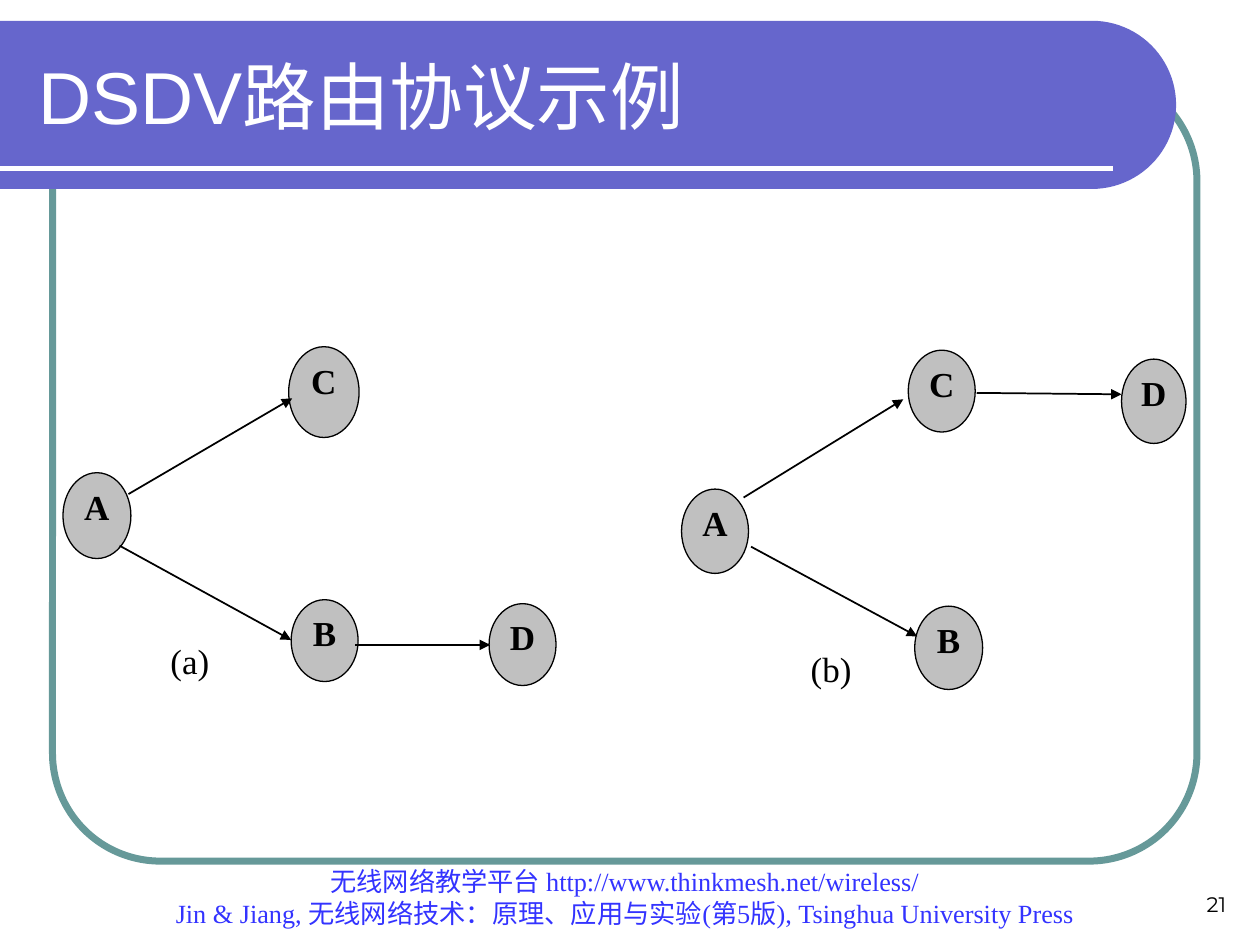
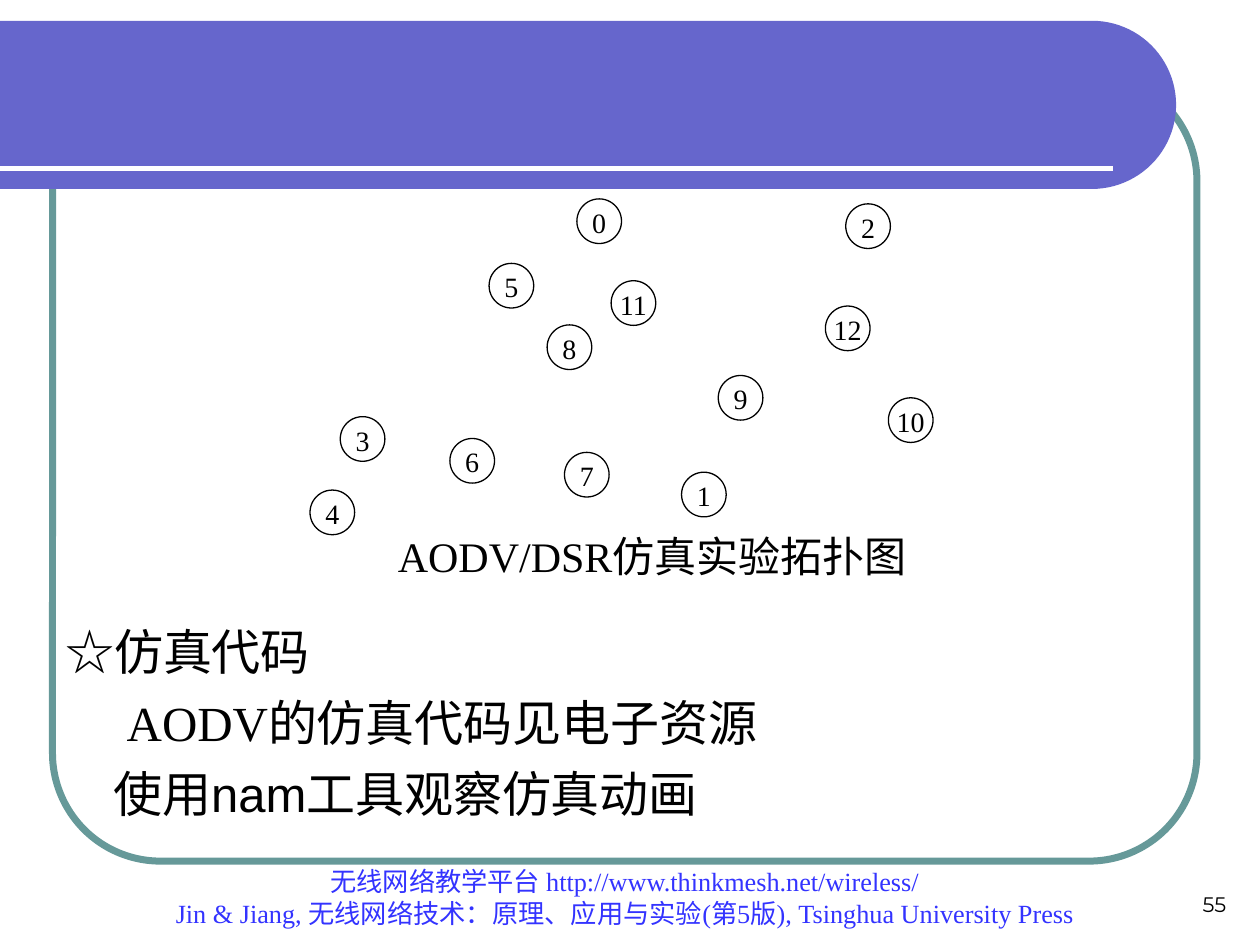
from dataclasses import dataclass
from math import cos, pi, sin

from lxml.etree import SubElement
from pptx import Presentation
from pptx.dml.color import RGBColor
from pptx.enum.shapes import MSO_CONNECTOR, MSO_SHAPE
from pptx.enum.text import MSO_ANCHOR, MSO_AUTO_SIZE, PP_ALIGN
from pptx.oxml.ns import qn
from pptx.util import Cm, Pt


@dataclass(frozen=True)
class Theme:
    band: str = "6666CC"
    frame: str = "669999"
    footer: str = "3333FF"
    node: str = "C0C0C0"
    dark: str = "000000"
    light: str = "FFFFFF"
    sans: str = "Arial"
    serif: str = "Times New Roman"
    number: str = "Montserrat"
    title_size: int = 42
    body_size: int = 28
    caption_size: int = 24
    node_size: int = 20
    circle_size: int = 16
    footer_size: int = 15
    number_size: int = 12


THEME = Theme()
FOOTER = (
    "无线网络教学平台 http://www.thinkmesh.net/wireless/\n"
    "Jin & Jiang, 无线网络技术：原理、应用与实验(第5版), Tsinghua University Press"
)
ROUTES_BEFORE = {
    "label": ("(a)", 1.47, 5.91, 2.18, 1.14),
    "nodes": [
        ("A", 0, 2.54, 1.37, 1.73),
        ("C", 4.55, 0, 1.42, 1.83),
        ("B", 4.6, 5.1, 1.35, 1.65),
        ("D", 8.59, 5.18, 1.35, 1.65),
    ],
    "links": [
        (1.32, 2.97, 4.62, 1.04),
        (5.89, 6.01, 8.61, 6.01),
        (1.14, 4.01, 4.6, 5.91),
    ],
}
ROUTES_AFTER = {
    "label": ("(b)", 2.01, 6, 2.01, 1.24),
    "nodes": [
        ("A", 0, 2.8, 1.35, 1.7),
        ("C", 4.57, 0, 1.35, 1.65),
        ("B", 4.7, 5.16, 1.37, 1.68),
        ("D", 8.87, 0.18, 1.3, 1.7),
    ],
    "links": [
        (1.25, 2.97, 4.47, 0.99),
        (5.95, 0.86, 8.87, 0.89),
        (1.4, 3.96, 4.75, 5.77),
    ],
}
TOPOLOGY = {
    0: (5.38, 0),
    1: (7.49, 5.51),
    2: (10.8, 0.1),
    3: (0.61, 4.39),
    4: (0, 5.87),
    5: (3.61, 1.3),
    6: (2.82, 4.83),
    7: (5.13, 5.11),
    8: (4.78, 2.54),
    9: (8.23, 3.56),
    10: (11.66, 4.01),
    11: (6.07, 1.65),
    12: (10.39, 2.16),
}
BODY_LINES = [
    ("☆仿真代码", THEME.sans, 0),
    ("AODV的仿真代码见电子资源", THEME.serif, 1.24),
    ("使用nam工具观察仿真动画", THEME.sans, 0.97),
]


def color(value):
    return RGBColor.from_string(value)


def format_paragraph(paragraph, text, size, font, fill=THEME.dark, bold=False,
                     align=PP_ALIGN.LEFT):
    paragraph.text = text
    paragraph.alignment = align
    paragraph.font.size = Pt(size)
    paragraph.font.name = font
    paragraph.font.bold = bold
    paragraph.font.color.rgb = color(fill)


def write(shape, text, anchor=MSO_ANCHOR.TOP, inset=(0.25, 0.13), **text_format):
    frame = shape.text_frame
    frame.word_wrap = True
    frame.auto_size = MSO_AUTO_SIZE.NONE
    frame.vertical_anchor = anchor
    frame.margin_left = frame.margin_right = Cm(inset[0])
    frame.margin_top = frame.margin_bottom = Cm(inset[1])
    for index, line in enumerate(text.split("\n")):
        paragraph = frame.add_paragraph() if index else frame.paragraphs[0]
        format_paragraph(paragraph, line, **text_format)


def place(shape, left, top, width, height):
    shape.left, shape.top = Cm(left), Cm(top)
    shape.width, shape.height = Cm(width), Cm(height)


def add_text(slide, box, text, **text_format):
    shape = slide.shapes.add_textbox(*map(Cm, box))
    write(shape, text, **text_format)
    return shape


def add_line(slide, ends, fill, width, arrow=False):
    line = slide.shapes.add_connector(MSO_CONNECTOR.STRAIGHT, *map(Cm, ends))
    line.line.color.rgb = color(fill)
    line.line.width = Pt(width)
    if arrow:
        SubElement(line.line._get_or_add_ln(), qn("a:tailEnd"), type="triangle")
    SubElement(line.element.spPr, qn("a:effectLst"))
    return line


def add_node(slide, box, text, fill, **text_format):
    node = slide.shapes.add_shape(MSO_SHAPE.OVAL, *map(Cm, box))
    node.shadow.inherit = False
    node.fill.solid()
    node.fill.fore_color.rgb = color(fill)
    node.line.color.rgb = color(THEME.dark)
    node.line.width = Pt(0.75)
    write(node, text, inset=(0, 0), font=THEME.serif, align=PP_ALIGN.CENTER,
          **text_format)


def add_frame(slide, box):
    frame = slide.shapes.add_shape(MSO_SHAPE.ROUNDED_RECTANGLE, *map(Cm, box))
    frame.adjustments[0] = 0.137
    frame.shadow.inherit = False
    frame.fill.background()
    frame.line.color.rgb = color(THEME.frame)
    frame.line.width = Pt(4)
    return frame


def add_band(slide, left, top, width, height, steps=48):
    radius = height / 2
    center_x, center_y = left + width - radius, top + radius
    angles = [pi * step / steps - pi / 2 for step in range(steps + 1)]
    arc = [(Cm(center_x + radius * cos(angle)), Cm(center_y + radius * sin(angle)))
           for angle in angles]
    builder = slide.shapes.build_freeform(Cm(left), Cm(top))
    builder.add_line_segments(arc + [(Cm(left), Cm(top + height))])
    band = builder.convert_to_shape()
    band.shadow.inherit = False
    band.fill.solid()
    band.fill.fore_color.rgb = color(THEME.band)
    band.line.fill.background()
    return band


def build_master(presentation, slide):
    parts = [
        add_frame(slide, (1.06, 1.48, 23.07, 15.88)),
        add_band(slide, 0, 0.42, 23.71, 3.39),
        add_line(slide, (0, 3.39, 22.44, 3.39), THEME.light, 3),
        add_text(slide, (1.9, 17.78, 21.39, 1.07), FOOTER, anchor=MSO_ANCHOR.BOTTOM,
                 size=THEME.footer_size, font=THEME.serif, fill=THEME.footer,
                 align=PP_ALIGN.CENTER),
    ]
    for identifier, part in enumerate(parts, 101):
        part.element.xpath(".//p:cNvPr")[0].set("id", str(identifier))
        presentation.slide_master.shapes.element.append(part.element)


def add_slide_number(slide, number):
    add_text(slide, (19.05, 17.35, 5.92, 1.27), str(number), anchor=MSO_ANCHOR.BOTTOM,
             size=THEME.number_size, font=THEME.number, align=PP_ALIGN.RIGHT)


def add_route_graph(slide, left, top, graph):
    for name, x, y, width, height in graph["nodes"]:
        add_node(slide, (left + x, top + y, width, height), name, THEME.node,
                 size=THEME.node_size, bold=True)
    for start_x, start_y, end_x, end_y in graph["links"]:
        ends = (left + start_x, top + start_y, left + end_x, top + end_y)
        add_line(slide, ends, THEME.dark, 1, arrow=True)
    text, x, y, width, height = graph["label"]
    add_text(slide, (left + x, top + y, width, height), text, inset=(0, 0),
             size=THEME.node_size, font=THEME.serif, align=PP_ALIGN.CENTER)


def add_topology(slide, left, top, diameter=0.9):
    for number, (x, y) in TOPOLOGY.items():
        add_node(slide, (left + x, top + y, diameter, diameter), str(number),
                 THEME.light, size=THEME.circle_size)
    add_text(slide, (left + 1.52, top + 6.56, 12, 1.27), "AODV/DSR仿真实验拓扑图",
             anchor=MSO_ANCHOR.MIDDLE, size=THEME.caption_size, font=THEME.serif)


def fill_body(body, box):
    place(body, *box)
    frame = body.text_frame
    frame.auto_size = MSO_AUTO_SIZE.NONE
    for index, (text, font, indent) in enumerate(BODY_LINES):
        paragraph = frame.add_paragraph() if index else frame.paragraphs[0]
        properties = paragraph._p.get_or_add_pPr()
        properties.set("marL", str(Cm(indent)))
        properties.set("indent", "0")
        SubElement(properties, qn("a:buNone"))
        paragraph.space_before = Pt(7 if index else 0)
        format_paragraph(paragraph, text, size=THEME.body_size, font=font)


def build_route_slide(slide):
    place(slide.shapes.title, 0.53, 0.64, 22.28, 2.54)
    write(slide.shapes.title, "DSDV路由协议示例", anchor=MSO_ANCHOR.MIDDLE,
          size=THEME.title_size, font=THEME.sans, fill=THEME.light)
    add_route_graph(slide, 1.27, 6.99, ROUTES_BEFORE)
    add_route_graph(slide, 13.74, 7.06, ROUTES_AFTER)
    add_slide_number(slide, 21)


def build_simulation_slide(slide):
    title = slide.shapes.title.element
    title.getparent().remove(title)
    fill_body(slide.placeholders[1], (1.06, 12.4, 22.65, 4.4))
    add_topology(slide, 6.25, 4.01)
    add_slide_number(slide, 55)


def main():
    presentation = Presentation()
    presentation.slide_width, presentation.slide_height = Cm(25.4), Cm(19.05)
    layouts = presentation.slide_layouts
    route_slide = presentation.slides.add_slide(layouts.get_by_name("Title Only"))
    build_master(presentation, route_slide)
    build_route_slide(route_slide)
    build_simulation_slide(
        presentation.slides.add_slide(layouts.get_by_name("Title and Content")))
    presentation.save("out.pptx")


if __name__ == "__main__":
    main()
